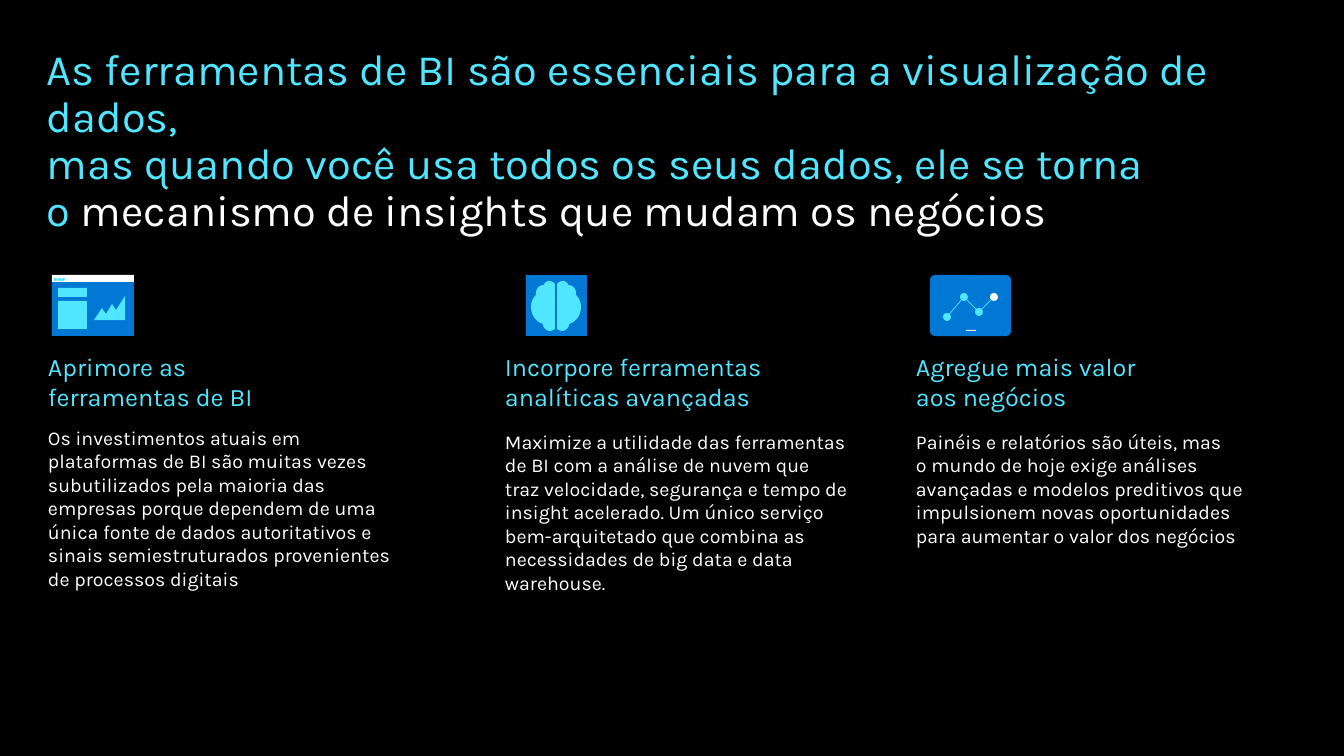
import pptx
import pptx.dml.color
import pptx.enum.shapes
import pptx.enum.text
import pptx.util

SCALE = 914400 / 100.8  # EMU in one px
FONT = "Karla"
TIE = chr(160)  # space that keeps two words on one line
COLOURS = {"black": "000000", "white": "FFFFFF", "cyan": "50E6FF", "blue": "0078D4"}
SHAPES = pptx.enum.shapes.MSO_SHAPE


def emu(length):
    return pptx.util.Emu(round(length * SCALE))


def colour(name):
    return pptx.dml.color.RGBColor.from_string(COLOURS[name])


def curve(start, first, second, end, steps=8):
    """Points along a cubic curve, without its start."""
    points = []
    for step in range(1, steps + 1):
        t = step / steps
        weights = ((1 - t) ** 3, 3 * t * (1 - t) ** 2, 3 * t * t * (1 - t), t ** 3)
        corners = (start, first, second, end)
        points.append(tuple(sum(w * c[axis] for w, c in zip(weights, corners))
                            for axis in (0, 1)))
    return points


class SlideBuilder:
    def __init__(self, deck):
        self.page = deck.slides.add_slide(deck.slide_layouts[6])
        self.page.background.fill.solid()
        self.page.background.fill.fore_color.rgb = colour("black")
        self.canvas = self.page.shapes

    def start_icon(self):
        self.canvas = self.page.shapes.add_group_shape().shapes

    def text_box(self, left, top, width, height):
        box = self.page.shapes.add_textbox(*map(emu, (left, top, width, height)))
        frame = box.text_frame
        frame.word_wrap = True
        frame.vertical_anchor = pptx.enum.text.MSO_ANCHOR.TOP
        frame.margin_left = frame.margin_right = 0
        frame.margin_top = frame.margin_bottom = 0
        return frame

    def style(self, span, size, fill):
        span.font.name = FONT
        span.font.size = pptx.util.Pt(size)
        span.font.color.rgb = colour(fill)

    def set_text(self, para, text, size, fill):
        para.text = text
        for span in para.runs:
            self.style(span, size, fill)

    def title(self, text, ending):
        para = self.text_box(47, 48, 1280, 145).paragraphs[0]
        para.line_spacing = 0.9
        self.set_text(para, text, 31, "cyan")
        span = para.add_run()
        span.text = ending
        self.style(span, 31, "white")

    def column(self, left, height, heading, body, body_gap):
        frame = self.text_box(left, 351, 344, height)
        head = frame.paragraphs[0]
        self.set_text(head, heading, 18, "cyan")
        para = frame.add_paragraph()
        self.set_text(para, body, 14, "white")
        para.space_before = pptx.util.Pt(body_gap)
        head.space_after = para.space_after = pptx.util.Pt(10)

    def shape(self, kind, left, top, width, height, fill):
        shape = self.canvas.add_shape(kind, *map(emu, (left, top, width, height)))
        shape.shadow.inherit = False
        shape.fill.solid()
        shape.fill.fore_color.rgb = colour(fill)
        shape.line.fill.background()
        return shape

    def outline(self, points, fill=None, line=None):
        corners = [(emu(x), emu(y)) for x, y in points]
        builder = self.canvas.build_freeform(*corners[0])
        builder.add_line_segments(corners[1:], close=fill is not None)
        shape = builder.convert_to_shape()
        shape.shadow.inherit = False
        if fill:
            shape.fill.solid()
            shape.fill.fore_color.rgb = colour(fill)
            shape.line.fill.background()
        else:
            shape.fill.background()
            shape.line.color.rgb = colour(line)
            shape.line.width = pptx.util.Pt(0.5)


def draw_dashboard(slide):
    slide.start_icon()
    slide.shape(SHAPES.RECTANGLE, 52, 275, 82, 8, "white")
    slide.shape(SHAPES.RECTANGLE, 52, 282, 82, 54, "blue")
    for left in range(54, 63, 4):
        slide.shape(SHAPES.OVAL, left, 278, 3, 3, "cyan")
    for top, height in ((288, 9), (301, 28)):
        slide.shape(SHAPES.RECTANGLE, 58, top, 29, height, "cyan")
    slide.outline([(102, 308), (106, 314), (112, 304), (116, 310),
                   (125, 296), (125, 320), (94, 320)], fill="cyan")


def draw_brain(slide):
    slide.start_icon()
    slide.shape(SHAPES.RECTANGLE, 526, 275, 61, 61, "blue")
    # Half outline, as distance from the midline and height on the page
    half = [(1, 328), (1, 286)]
    for bend in (((1, 285), (1, 284), (2, 283)),
                 ((3, 282), (5, 281), (7, 281)),
                 ((9, 281), (12, 283), (12, 285)),
                 ((17, 285), (20, 289), (20, 293)),
                 ((20, 294), (20, 294), (20, 295)),
                 ((23, 298), (25, 302), (25, 307)),
                 ((25, 315), (20, 322), (13, 324)),
                 ((13, 328), (10, 330), (7, 331)),
                 ((6, 331), (4, 331), (3, 330)),
                 ((2, 330), (1, 329), (1, 328))):
        half += curve(half[-1], *bend)
    for side in (-1, 1):
        slide.outline([(556 + side * x, y) for x, y in half], fill="cyan")


def draw_trend_screen(slide):
    slide.start_icon()
    screen = slide.shape(SHAPES.ROUNDED_RECTANGLE, 930, 275, 81, 61, "blue")
    screen.adjustments[0] = 0.08
    values = [(947, 317), (964, 297), (979, 312), (994, 297)]
    slide.outline(values, line="cyan")
    for x, y in values:
        fill = "white" if (x, y) == values[-1] else "cyan"
        slide.shape(SHAPES.OVAL, x - 4, y - 4, 8, 8, fill)
    slide.shape(SHAPES.ROUNDED_RECTANGLE, 966, 330, 10, 1, "white")


def main():
    deck = pptx.Presentation()
    deck.slide_width, deck.slide_height = emu(1344), emu(756)
    slide = SlideBuilder(deck)

    # Title
    slide.title("As ferramentas de BI são essenciais para a visualização de dados,\v"
                f"mas quando você usa todos os seus dados, ele se torna o{TIE}",
                "mecanismo de insights que mudam os negócios")

    # Columns
    slide.column(48, 242, f"Aprimore as ferramentas{TIE}de{TIE}BI",
                 "Os investimentos atuais em plataformas de BI são muitas vezes "
                 "subutilizados pela maioria das empresas porque dependem de uma "
                 "única fonte de dados autoritativos e sinais semiestruturados "
                 "provenientes de processos digitais", 0)
    slide.column(505, 223, "Incorpore ferramentas analíticas avançadas",
                 "Maximize a utilidade das ferramentas de BI com a análise de nuvem "
                 "que traz velocidade, segurança e tempo de insight acelerado. Um "
                 "único serviço bem-arquitetado que combina as necessidades de "
                 "big data e data warehouse.", 3)
    slide.column(916, 199, f"Agregue mais valor aos{TIE}negócios",
                 f"Painéis e relatórios são úteis, mas o{TIE}mundo de hoje exige análises "
                 "avançadas e modelos preditivos que impulsionem novas oportunidades "
                 "para aumentar o valor dos negócios", 3)

    # Icons
    draw_dashboard(slide)
    draw_brain(slide)
    draw_trend_screen(slide)

    deck.save("out.pptx")


if __name__ == "__main__":
    main()
